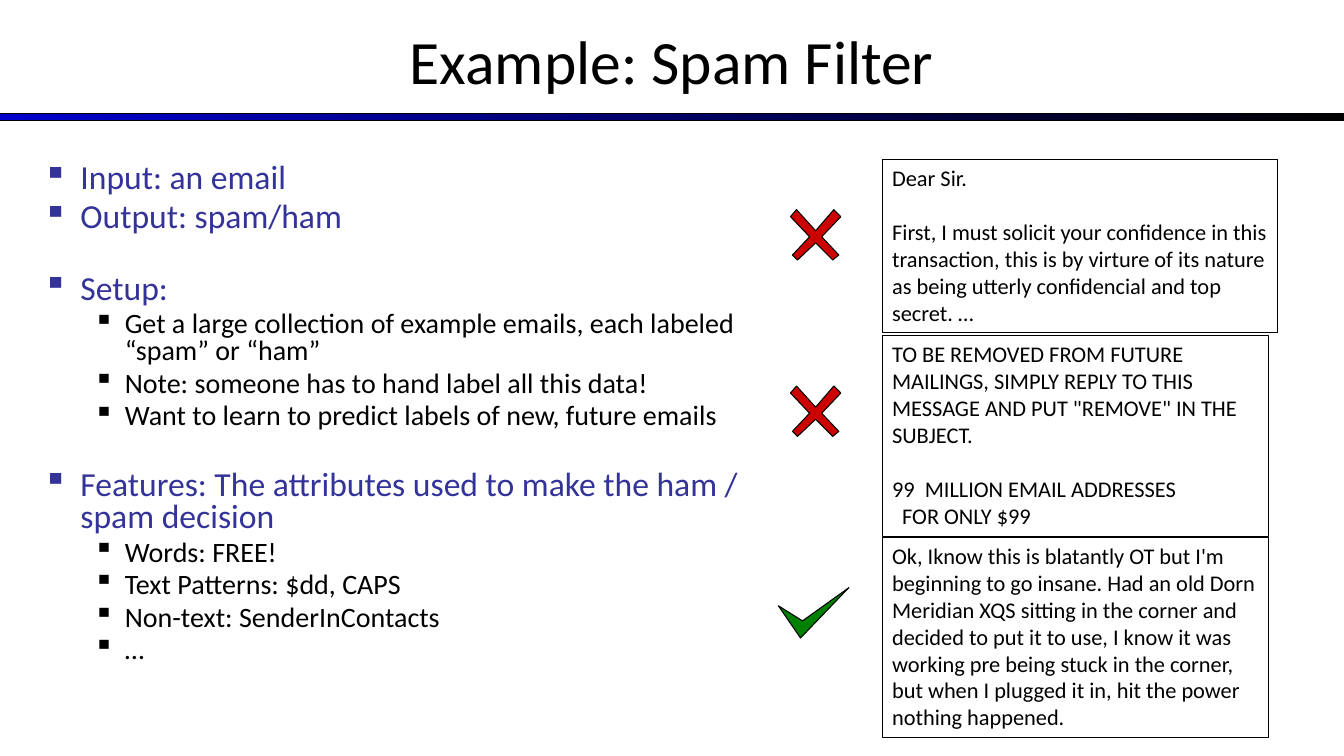
from dataclasses import dataclass

from lxml.etree import SubElement
from pptx import Presentation
from pptx.dml.color import RGBColor as RGB
from pptx.enum.shapes import MSO_SHAPE as SHAPE
from pptx.enum.text import MSO_ANCHOR as ANCHOR, MSO_AUTO_SIZE as AUTO, PP_ALIGN as ALIGN
from pptx.oxml.ns import qn
from pptx.util import Inches, Pt


@dataclass(frozen=True)
class Theme:
    font: str = "Calibri"
    black: RGB = RGB(0x00, 0x00, 0x00)
    heading: RGB = RGB(0x33, 0x33, 0x99)
    bar: RGB = RGB(0x00, 0x00, 0xCC)
    spam: RGB = RGB(0xCC, 0x00, 0x00)
    ham: RGB = RGB(0x00, 0x80, 0x00)
    title_size: float = 44
    email_size: float = 16
    line: float = 0.75


@dataclass(frozen=True)
class Level:
    size: float
    color: RGB
    margin: float
    hanging: float
    before: float


@dataclass(frozen=True)
class Bullet:
    text: str
    level: int = 0
    gap: float = 0


@dataclass(frozen=True)
class Line:
    text: str
    gap: float = 0
    indent: float = 0


@dataclass(frozen=True)
class Email:
    top: float
    width: float
    height: float
    lines: tuple[Line, ...]


@dataclass(frozen=True)
class Mark:
    left: float
    top: float
    outline: tuple[tuple[float, float], ...]
    color: RGB


T = Theme()
LEVELS = (Level(24, T.heading, 0.37, 0.37, 4.8), Level(20, T.black, 0.81, 0.31, 4))
SECTION_GAP = 23.2
EMAIL_GAP = 19.5
EMAIL_LEFT = 8.75

BULLETS = (
    Bullet("Input: an email"),
    Bullet("Output: spam/ham"),
    Bullet("Setup:", gap=SECTION_GAP),
    Bullet("Get a large collection of example emails, each labeled “spam” or “ham”", 1),
    Bullet("Note: someone has to hand label all this data!", 1),
    Bullet("Want to learn to predict labels of new, future emails", 1),
    Bullet("Features: The attributes used to make the ham / spam decision", gap=SECTION_GAP),
    Bullet("Words: FREE!", 1),
    Bullet("Text Patterns: $dd, CAPS", 1),
    Bullet("Non-text: SenderInContacts", 1),
    Bullet("…", 1),
)

EMAILS = (
    Email(1.58, 3.92, 1.72, (
        Line("Dear Sir."),
        Line("First, I must solicit your confidence in this transaction, this is by virture "
             "of its nature as being utterly confidencial and top secret. …", EMAIL_GAP),
    )),
    Email(3.33, 3.83, 1.99, (
        Line("TO BE REMOVED FROM FUTURE MAILINGS, SIMPLY REPLY TO THIS MESSAGE AND PUT "
             '"REMOVE" IN THE SUBJECT.'),
        Line("99  MILLION EMAIL ADDRESSES", EMAIL_GAP),
        Line("FOR ONLY $99", indent=0.1),
    )),
    Email(5.33, 3.83, 1.99, (
        Line("Ok, Iknow this is blatantly OT but I'm beginning to go insane. Had an old Dorn "
             "Meridian XQS sitting in the corner and decided to put it to use, I know it was "
             "working pre being stuck in the corner, but when I plugged it in, hit the power "
             "nothing happened."),
    )),
)

# Outlines in inches from the top left corner of each mark
CROSS = ((0, 0.07), (0.19, 0.27), (0.02, 0.45), (0.07, 0.5), (0.25, 0.33), (0.42, 0.5),
         (0.48, 0.45), (0.31, 0.27), (0.5, 0.07), (0.43, 0), (0.25, 0.21), (0.06, 0))
CHECK = ((0.22, 0.5), (0.7, 0), (0.24, 0.33), (0, 0.18))
MARKS = (
    Mark(7.72, 5.83, CHECK, T.ham),
    Mark(7.84, 2.08, CROSS, T.spam),
    Mark(7.84, 3.83, CROSS, T.spam),
)


def add_run(p, text: str, size: float, color: RGB) -> None:
    r = p.add_run()
    r.text = text
    r.font.name = T.font
    r.font.size = Pt(size)
    r.font.color.rgb = color


def next_paragraph(tf, index: int):
    return tf.add_paragraph() if index else tf.paragraphs[0]


def set_line(sp) -> None:
    sp.line.color.rgb = T.black
    sp.line.width = Pt(T.line)
    sp.shadow.inherit = False


def add_text_frame(slide, left: float, top: float, width: float, height: float):
    sp = slide.shapes.add_textbox(Inches(left), Inches(top), Inches(width), Inches(height))
    sp.text_frame.word_wrap = True
    return sp.text_frame


def add_bar(slide) -> None:
    sp = slide.shapes.add_shape(SHAPE.RECTANGLE, 0, Inches(1.13), Inches(13.33), Inches(0.07))
    sp.fill.gradient()
    sp.fill.gradient_angle = 0
    for stop, color in zip(sp.fill.gradient_stops, (T.bar, T.black)):
        stop.color.rgb = color
    set_line(sp)


def add_title(slide, text: str) -> None:
    tf = add_text_frame(slide, 0, -0.03, 13.33, 1.25)
    tf.vertical_anchor = ANCHOR.MIDDLE
    p = tf.paragraphs[0]
    p.alignment = ALIGN.CENTER
    add_run(p, text, T.title_size, T.black)


def add_bullets(slide, bullets: tuple[Bullet, ...]) -> None:
    tf = add_text_frame(slide, 0.33, 1.58, 7.17, 5.5)
    for i, bullet in enumerate(bullets):
        level = LEVELS[bullet.level]
        p = next_paragraph(tf, i)
        p.level = bullet.level
        p.line_spacing = 0.8
        p.space_before = Pt(level.before + bullet.gap)
        add_run(p, bullet.text, level.size, level.color)
        pPr = p._p.get_or_add_pPr()
        pPr.set("marL", str(Inches(level.margin)))
        pPr.set("indent", str(-Inches(level.hanging)))
        SubElement(pPr, qn("a:buChar")).set("char", "▪")


def add_email(slide, email: Email) -> None:
    sp = slide.shapes.add_shape(SHAPE.RECTANGLE, Inches(EMAIL_LEFT), Inches(email.top),
                                Inches(email.width), Inches(email.height))
    sp.fill.background()
    set_line(sp)
    tf = sp.text_frame
    tf.word_wrap = True
    tf.auto_size = AUTO.SHAPE_TO_FIT_TEXT
    tf.vertical_anchor = ANCHOR.TOP
    for i, line in enumerate(email.lines):
        p = next_paragraph(tf, i)
        p.alignment = ALIGN.LEFT
        p.space_before = Pt(line.gap)
        p._p.get_or_add_pPr().set("marL", str(Inches(line.indent)))
        add_run(p, line.text, T.email_size, T.black)


def add_mark(slide, mark: Mark) -> None:
    points = [(Inches(mark.left + x), Inches(mark.top + y)) for x, y in mark.outline]
    builder = slide.shapes.build_freeform(*points[0])
    builder.add_line_segments(points[1:], close=True)
    sp = builder.convert_to_shape()
    sp.fill.solid()
    sp.fill.fore_color.rgb = mark.color
    set_line(sp)


def main() -> None:
    prs = Presentation()
    prs.slide_width, prs.slide_height = Inches(13.33), Inches(7.5)
    slide = prs.slides.add_slide(prs.slide_layouts[6])

    # Heading
    add_bar(slide)
    add_title(slide, "Example: Spam Filter")

    # Task description
    add_bullets(slide, BULLETS)

    # Sample emails with their labels
    for email in EMAILS:
        add_email(slide, email)
    for mark in MARKS:
        add_mark(slide, mark)

    prs.save("out.pptx")


if __name__ == "__main__":
    main()
